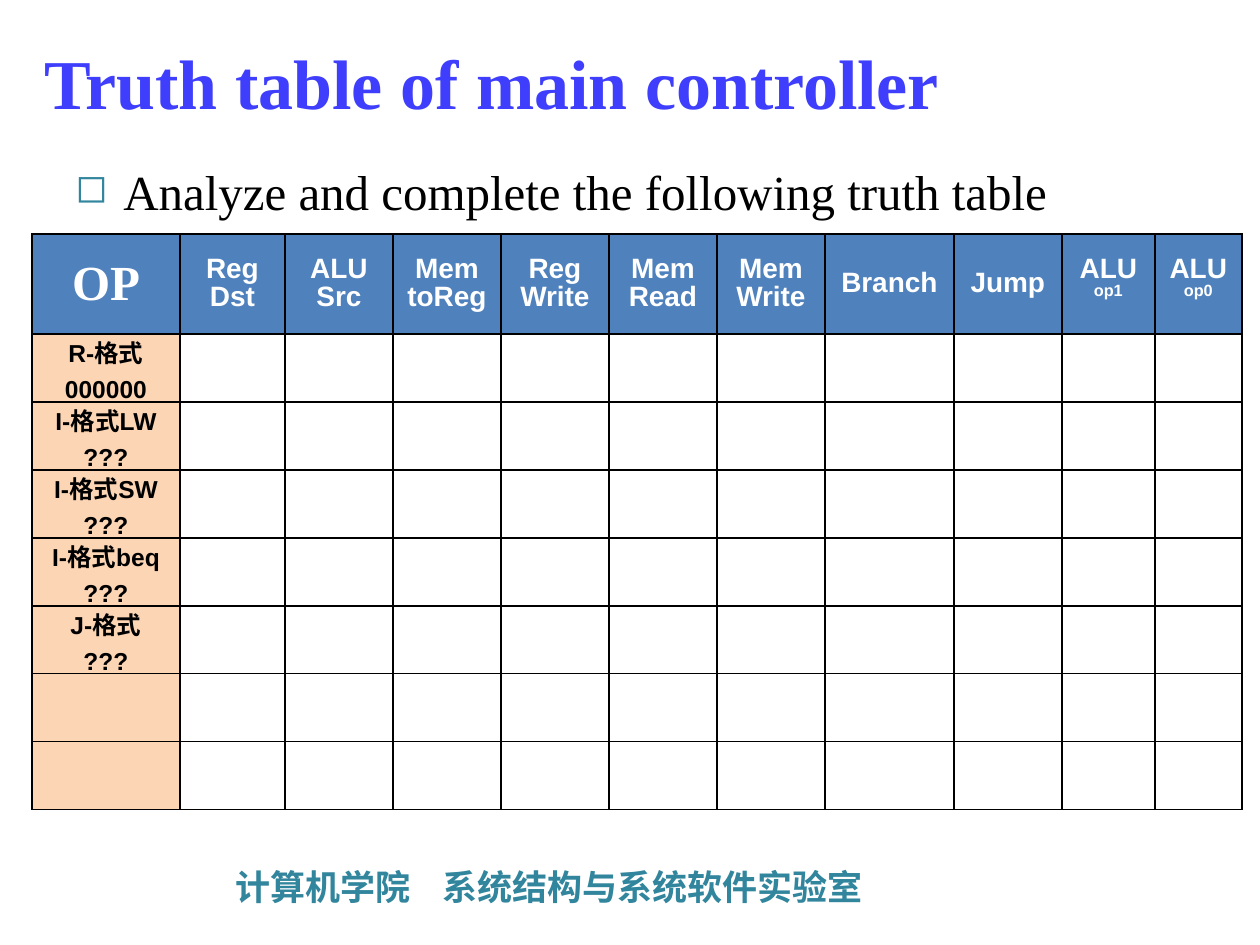
import pptx
import pptx.dml.color
import pptx.enum.text
import pptx.oxml
import pptx.oxml.ns
import pptx.util

PX = 914400 / 126
NS = pptx.oxml.ns.nsdecls("a")

SERIF, SANS, CJK = "Times New Roman", "Arial", "Noto Sans CJK SC"
BLACK, WHITE, TEAL = "000000", "FFFFFF", "31859C"
TITLE_BLUE, HEADER_BLUE, PEACH = "3E3EFC", "4F81BD", "FCD5B5"

COLUMNS = [148, 105] + [108] * 5 + [129, 108, 93, 87]
ROWS = [100] + [68] * 7
SIGNALS = [
    ["Reg", "Dst"], ["ALU", "Src"], ["Mem", "toReg"], ["Reg", "Write"],
    ["Mem", "Read"], ["Mem", "Write"], ["Branch"], ["Jump"],
    ["ALU", "op1"], ["ALU", "op0"],
]
OPCODES = [
    ["R-格式", "000000"], ["I-格式LW", "???"], ["I-格式SW", "???"],
    ["I-格式beq", "???"], ["J-格式", "???"],
]


def px(n):
    return pptx.util.Emu(round(n * PX))


def rgb(color):
    return pptx.dml.color.RGBColor.from_string(color)


def style(p, size, font, color, bold=False):
    p.font.size = pptx.util.Pt(size)
    p.font.name = font
    p.font.bold = bold
    p.font.color.rgb = rgb(color)


def add_text(slide, box, text, size, font, color, bold=False):
    """Add a one-paragraph text box and return its frame."""
    tf = slide.shapes.add_textbox(*map(px, box)).text_frame
    tf.word_wrap = True
    p = tf.paragraphs[0]
    p.text = text
    style(p, size, font, color, bold)
    return tf


def add_bullet(p, char, color, percent, indent):
    pPr = p._p.get_or_add_pPr()
    pPr.set("marL", str(px(indent)))
    pPr.set("indent", str(-px(indent)))
    parts = [
        f'<a:buClr {NS}><a:srgbClr val="{color}"/></a:buClr>',
        f'<a:buSzPct {NS} val="{percent * 1000}"/>',
        f'<a:buChar {NS} char="{char}"/>',
    ]
    for i, xml in enumerate(parts):
        pPr.insert_element_before(pptx.oxml.parse_xml(xml), "a:defRPr")


def add_tab_stop(p, position):
    xml = f'<a:tabLst {NS}><a:tab pos="{px(position)}" algn="l"/></a:tabLst>'
    pPr = p._p.get_or_add_pPr()
    pPr.insert_element_before(pptx.oxml.parse_xml(xml), "a:defRPr")


def format_cell(cell, fill):
    """Give a cell black 1 pt borders and a solid fill."""
    tcPr = cell._tc.get_or_add_tcPr()
    for side in ("lnL", "lnR", "lnT", "lnB"):
        tcPr.append(pptx.oxml.parse_xml(
            f'<a:{side} {NS} w="12700"><a:solidFill>'
            f'<a:srgbClr val="{BLACK}"/></a:solidFill></a:{side}>'))
    cell.fill.solid()
    cell.fill.fore_color.rgb = rgb(fill)


def write_cell(cell, lines, size, font, color, leading=None, before=None):
    cell.margin_left = cell.margin_right = 0
    cell.margin_top = cell.margin_bottom = 0
    cell.vertical_anchor = pptx.enum.text.MSO_ANCHOR.MIDDLE
    tf = cell.text_frame
    tf.text = "\n".join(lines)
    for p in tf.paragraphs:
        p.alignment = pptx.enum.text.PP_ALIGN.CENTER
        if leading:
            p.line_spacing = pptx.util.Pt(leading)
        if before:
            p.space_before = pptx.util.Pt(before)
        style(p, size, font, color, True)


def add_truth_table(slide):
    frame = slide.shapes.add_table(
        len(ROWS), len(COLUMNS), px(32), px(234),
        px(sum(COLUMNS)), px(sum(ROWS)))
    table = frame.table
    table.first_row = table.horz_banding = False
    for column, width in zip(table.columns, COLUMNS):
        column.width = px(width)
    for row, height in zip(table.rows, ROWS):
        row.height = px(height)

    for r in range(len(ROWS)):
        for c in range(len(COLUMNS)):
            fill = HEADER_BLUE if r == 0 else PEACH if c == 0 else WHITE
            format_cell(table.cell(r, c), fill)

    # Header row, with op1 and op0 as subscripts
    write_cell(table.cell(0, 0), ["OP"], 28, SERIF, WHITE)
    for c, lines in enumerate(SIGNALS, 1):
        cell = table.cell(0, c)
        subscript = lines[-1].startswith("op")
        write_cell(cell, lines, 16, SANS, WHITE, leading=9 if subscript else 16)
        if subscript:
            run = cell.text_frame.paragraphs[-1].runs[0]
            run._r.get_or_add_rPr().set("baseline", "-25000")

    # Opcode column
    for r, lines in enumerate(OPCODES, 1):
        write_cell(table.cell(r, 0), lines, 14, SANS, BLACK, before=3.9)


def main():
    prs = pptx.Presentation()
    prs.slide_width, prs.slide_height = px(1260), px(945)
    slide = prs.slides.add_slide(prs.slide_layouts[6])

    # Footer
    tf = add_text(slide, (223, 859, 912, 55),
                  "计算机学院\t系统结构与系统软件实验室", 20, CJK, TEAL, True)
    p = tf.paragraphs[0]
    p.font._element.append(
        pptx.oxml.parse_xml(f'<a:ea {NS} typeface="{CJK}"/>'))
    add_tab_stop(p, 207)

    # Title
    tf = add_text(slide, (32, 16, 1085, 131),
                  "Truth table of main controller", 40, SERIF, TITLE_BLUE, True)
    tf.vertical_anchor = pptx.enum.text.MSO_ANCHOR.MIDDLE

    # Task
    tf = add_text(slide, (63, 155, 1134, 684),
                  "Analyze and complete the following truth table",
                  28, SERIF, BLACK)
    p = tf.paragraphs[0]
    p.space_before = pptx.util.Pt(5.6)
    add_bullet(p, "◻", TEAL, 80, 48)

    add_truth_table(slide)
    prs.save("out.pptx")


if __name__ == "__main__":
    main()
